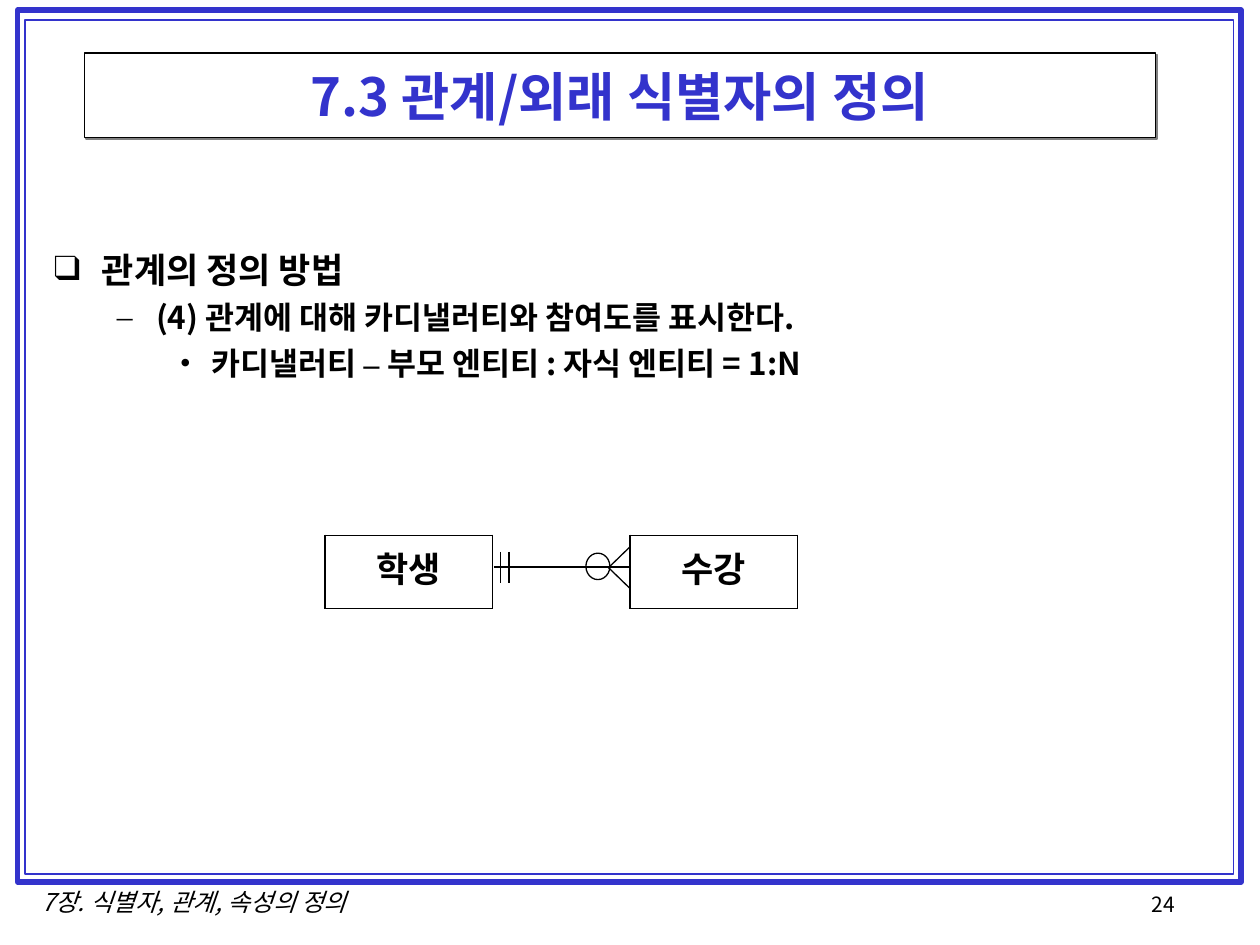
from dataclasses import dataclass

from lxml.etree import SubElement
from pptx import Presentation
from pptx.dml.color import RGBColor
from pptx.enum.shapes import MSO_CONNECTOR, MSO_SHAPE
from pptx.enum.text import MSO_ANCHOR, PP_ALIGN
from pptx.oxml.ns import qn
from pptx.util import Inches, Pt


@dataclass(frozen=True)
class Theme:
    blue: str = "3333CC"
    black: str = "000000"
    white: str = "FFFFFF"
    shadow: str = "808080"
    font: str = "Noto Sans CJK KR"
    dash_font: str = "Times New Roman"
    title: float = 30
    heading: float = 20
    body: float = 18
    footer: float = 14
    page: float = 12
    thin: float = 0.75
    border: float = 1.08


@dataclass(frozen=True)
class Box:
    left: float
    top: float
    width: float
    height: float

    def lengths(self) -> list:
        return [Inches(v) for v in (self.left, self.top, self.width, self.height)]


@dataclass(frozen=True)
class Point:
    bullet: str
    margin: float
    hanging: float
    before: float
    size: float
    runs: tuple  # (text, font) pairs


THEME = Theme()


def add_run(paragraph, text: str, size: float, color: str = THEME.black,
            bold: bool = False, italic: bool = False, font: str = THEME.font) -> None:
    run = paragraph.add_run()
    run.text = text
    run.font.size = Pt(size)
    run.font.bold = bold
    run.font.italic = italic
    run.font.color.rgb = RGBColor.from_string(color)
    run.font.name = font
    SubElement(run.font._element, qn("a:ea"), typeface=font)


def add_outline(slide, kind, box: Box, color: str = THEME.black,
                width: float = THEME.thin, rotation: float = 0):
    shape = slide.shapes.add_shape(kind, *box.lengths())
    shape.shadow.inherit = False
    shape.fill.background()
    shape.line.color.rgb = RGBColor.from_string(color)
    shape.line.width = Pt(width)
    shape.rotation = rotation
    return shape


def add_line(slide, x1: float, y1: float, x2: float, y2: float) -> None:
    line = slide.shapes.add_connector(
        MSO_CONNECTOR.STRAIGHT, Inches(x1), Inches(y1), Inches(x2), Inches(y2))
    line.line.color.rgb = RGBColor.from_string(THEME.black)
    line.line.width = Pt(THEME.thin)
    SubElement(line._element.spPr, qn("a:effectLst"))


def add_text_frame(slide, box: Box, wrap: bool):
    frame = slide.shapes.add_textbox(*box.lengths()).text_frame
    frame.word_wrap = wrap
    return frame


def add_title(slide, text: str) -> None:
    title = add_outline(slide, MSO_SHAPE.RECTANGLE, Box(0.67, 0.42, 8.5, 0.67))
    title.fill.solid()
    title.fill.fore_color.rgb = RGBColor.from_string(THEME.white)
    effects = title._element.spPr.find(qn("a:effectLst"))
    shadow = SubElement(effects, qn("a:outerShdw"), dist=str(Pt(1.4)),
                        dir="2700000", algn="ctr", rotWithShape="0")
    SubElement(shadow, qn("a:srgbClr"), val=THEME.shadow)
    title.text_frame.vertical_anchor = MSO_ANCHOR.MIDDLE
    paragraph = title.text_frame.paragraphs[0]
    paragraph.alignment = PP_ALIGN.CENTER
    add_run(paragraph, text, THEME.title, THEME.blue, bold=True)


def add_points(slide, box: Box, points: list[Point]) -> None:
    frame = add_text_frame(slide, box, wrap=True)
    for level, point in enumerate(points):
        paragraph = frame.add_paragraph() if level else frame.paragraphs[0]
        paragraph.level = level
        props = paragraph._p.get_or_add_pPr()
        props.set("marL", str(Inches(point.margin)))
        props.set("indent", str(-Inches(point.hanging)))
        color = SubElement(props, qn("a:buClr"))
        SubElement(color, qn("a:srgbClr"), val=THEME.black)
        SubElement(props, qn("a:buFont"), typeface=THEME.dash_font)
        SubElement(props, qn("a:buChar"), char=point.bullet)
        paragraph.space_before = Pt(point.before)
        for text, font in point.runs:
            add_run(paragraph, text, point.size, bold=True, font=font)


def add_entity(slide, box: Box, name: str) -> None:
    table = slide.shapes.add_table(1, 1, *box.lengths()).table
    table.first_row = False
    table.horz_banding = False
    cell = table.cell(0, 0)
    props = cell._tc.get_or_add_tcPr()
    for side in ("a:lnL", "a:lnR", "a:lnT", "a:lnB"):
        border = SubElement(props, qn(side), w=str(Pt(THEME.border)))
        fill = SubElement(border, qn("a:solidFill"))
        SubElement(fill, qn("a:srgbClr"), val=THEME.black)
    cell.fill.background()
    paragraph = cell.text_frame.paragraphs[0]
    paragraph.alignment = PP_ALIGN.CENTER
    add_run(paragraph, name, THEME.heading, bold=True)


def main() -> None:
    deck = Presentation()
    deck.slide_width, deck.slide_height = Inches(10), Inches(7.5)
    slide = deck.slides.add_slide(deck.slide_layouts[6])

    # Double frame
    for frame, width in ((Box(0.14, 0.08, 9.71, 6.92), 3),
                         (Box(0.2, 0.16, 9.59, 6.78), 1)):
        add_outline(slide, MSO_SHAPE.RECTANGLE, frame, THEME.blue, width)

    # Page number and chapter footer
    page = add_text_frame(slide, Box(9.04, 7.03, 1.02, 0.33), wrap=False)
    add_run(page.paragraphs[0], "24", THEME.page)
    chapter = add_text_frame(slide, Box(0.06, 6.99, 2.96, 0.34), wrap=False)
    chapter.paragraphs[0].alignment = PP_ALIGN.CENTER
    add_run(chapter.paragraphs[0], "7장. 식별자, 관계, 속성의 정의",
            THEME.footer, italic=True)

    # Title and bullet points
    add_title(slide, "7.3 관계/외래 식별자의 정의")
    add_points(slide, Box(0.33, 1.92, 9.28, 4.87), [
        Point("❑", 0.38, 0.38, 0, THEME.heading,
              (("관계의 정의 방법", THEME.font),)),
        Point("–", 0.81, 0.31, 4.5, THEME.body,
              (("(4) 관계에 대해 카디낼러티와 참여도를 표시한다.", THEME.font),)),
        Point("•", 1.25, 0.25, 4.5, THEME.body,
              (("카디낼러티 ", THEME.font), ("– ", THEME.dash_font),
               ("부모 엔티티 : 자식 엔티티 = 1:N", THEME.font))),
    ])

    # Entities
    for name, left in (("학생", 2.58), ("수강", 5)):
        add_entity(slide, Box(left, 4.25, 1.33, 0.58), name)

    # One-to-many relationship: bars, circle and crow's foot
    add_line(slide, 3.92, 4.5, 5, 4.5)
    for bar in (3.97, 4.04):
        add_line(slide, bar, 4.38, bar, 4.63)
    add_outline(slide, MSO_SHAPE.ISOSCELES_TRIANGLE,
                Box(4.75, 4.42, 0.33, 0.17), rotation=270)
    add_outline(slide, MSO_SHAPE.OVAL, Box(4.65, 4.39, 0.19, 0.21))

    deck.save("out.pptx")


if __name__ == "__main__":
    main()
